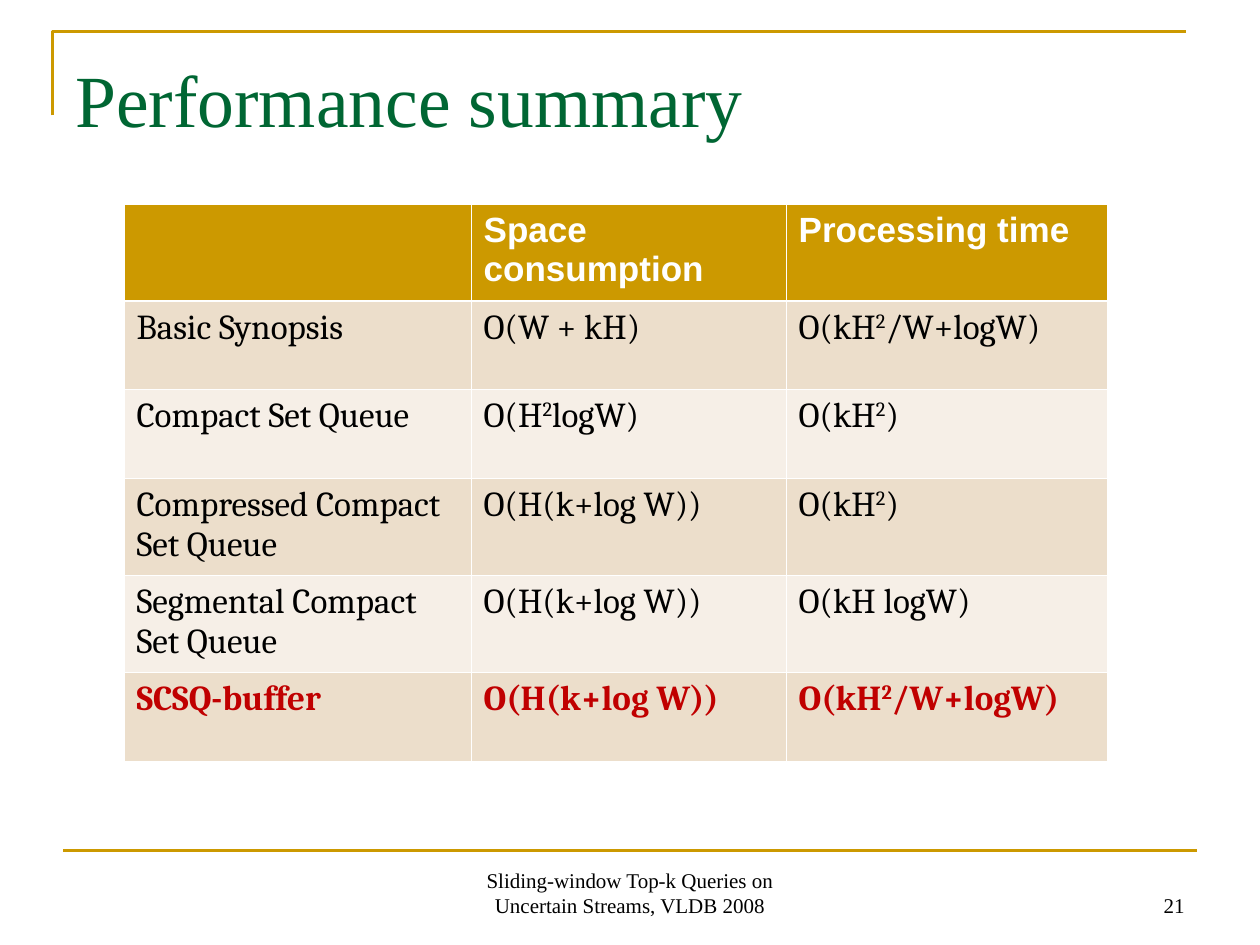
"""Build the performance summary slide with its complexity table."""
from lxml import etree
from pptx import Presentation
from pptx import util as u
from pptx.dml.color import RGBColor
from pptx.enum import shapes, text
from pptx.oxml import parse_xml
from pptx.oxml.ns import nsdecls, qn

Pt = u.Pt
GOLD, GREEN, RED, BLACK, WHITE = "CC9900", "006633", "C00000", "000000", "FFFFFF"
BANDS = ["ECDECB", "F6EFE7"]


def paint(target, color):
    target.rgb = RGBColor.from_string(color)


def style(paragraph, name, size, color, bold=False):
    font = paragraph.font
    font.name, font.size, font.bold = name, Pt(size), bold
    paint(font.color, color)


deck = Presentation()
deck.slide_width, deck.slide_height = Pt(720), Pt(540)
slide = deck.slides.add_slide(deck.slide_layouts[6])

outline = slide.shapes.build_freeform(Pt(30), Pt(66))
outline.add_line_segments([(Pt(30), Pt(18)), (Pt(678), Pt(18))], close=False)
corner = outline.convert_to_shape()
corner.shadow.inherit = False
corner.fill.background()
footer_rule = slide.shapes.add_connector(
    shapes.MSO_CONNECTOR.STRAIGHT, Pt(36), Pt(486), Pt(684), Pt(486))
etree.SubElement(footer_rule._element.spPr, qn("a:effectLst"))
for rule in (corner, footer_rule):
    rule.line.width = Pt(1.5)
    paint(rule.line.color, GOLD)
footer_rule._element.spPr.append(footer_rule._element.spPr.find(qn("a:effectLst")))

top, bottom = text.MSO_ANCHOR.TOP, text.MSO_ANCHOR.BOTTOM
left, center, right = text.PP_ALIGN.LEFT, text.PP_ALIGN.CENTER, text.PP_ALIGN.RIGHT
captions = [
    ("Sliding-window Top-k Queries on Uncertain Streams, VLDB 2008",
     (246, 492, 228, 36), 12, BLACK, center, bottom, 3.6),
    ("21", (516, 492, 168, 36), 12, BLACK, right, bottom, 3.6),
    ("Performance summary", (36, 21.6, 648, 90), 42, GREEN, left, top, 9),
]
for words, box, size, color, align, anchor, inset in captions:
    frame = slide.shapes.add_textbox(*map(Pt, box)).text_frame
    frame.word_wrap = True
    frame.vertical_anchor = anchor
    frame.margin_top = Pt(inset)
    line = frame.paragraphs[0]
    line.text = words
    line.alignment = align
    style(line, "Times New Roman", size, color)

costs = [
    ("", "Space consumption", "Processing time"),
    ("Basic Synopsis", "O(W + kH)", "O(kH2/W+logW)"),
    ("Compact Set Queue", "O(H2logW)", "O(kH2)"),
    ("Compressed Compact Set Queue", "O(H(k+log W))", "O(kH2)"),
    ("Segmental Compact Set Queue", "O(H(k+log W))", "O(kH logW)"),
    ("SCSQ-buffer", "O(H(k+log W))", "O(kH2/W+logW)"),
]
widths = [198.4, 180, 183.6]
heights = [55.4, 50.5, 50.9, 55.4, 55.4, 50.5]
last = len(costs) - 1
summary = slide.shapes.add_table(
    len(costs), len(widths), Pt(70.8), Pt(116.8), Pt(sum(widths)), Pt(sum(heights))).table
for column, width in zip(summary.columns, widths):
    column.width = Pt(width)

for r, (row, height) in enumerate(zip(costs, heights)):
    summary.rows[r].height = Pt(height)
    for c, words in enumerate(row):
        cell = summary.cell(r, c)
        edges = {"L": 0.45, "R": 0.45,
                 "T": 1.47 if r == 1 else 0.45, "B": 1.47 if r == 0 else 0.45}
        for side, weight in edges.items():
            cell._tc.get_or_add_tcPr().append(parse_xml(
                f'<a:ln{side} {nsdecls("a")} w="{Pt(weight)}"><a:solidFill>'
                f'<a:srgbClr val="{WHITE}"/></a:solidFill></a:ln{side}>'))
        cell.fill.solid()
        paint(cell.fill.fore_color, BANDS[(r - 1) % 2] if r else GOLD)
        entry = cell.text_frame.paragraphs[0]
        for part in filter(None, words.partition("2")):
            run = entry.add_run()
            run.text = part
            if part == "2":
                run._r.get_or_add_rPr().set("baseline", "30000")
        color = WHITE if r == 0 else RED if r == last else BLACK
        style(entry, "Cambria" if r else "Arial", 20, color, r in (0, last))

deck.save("out.pptx")
